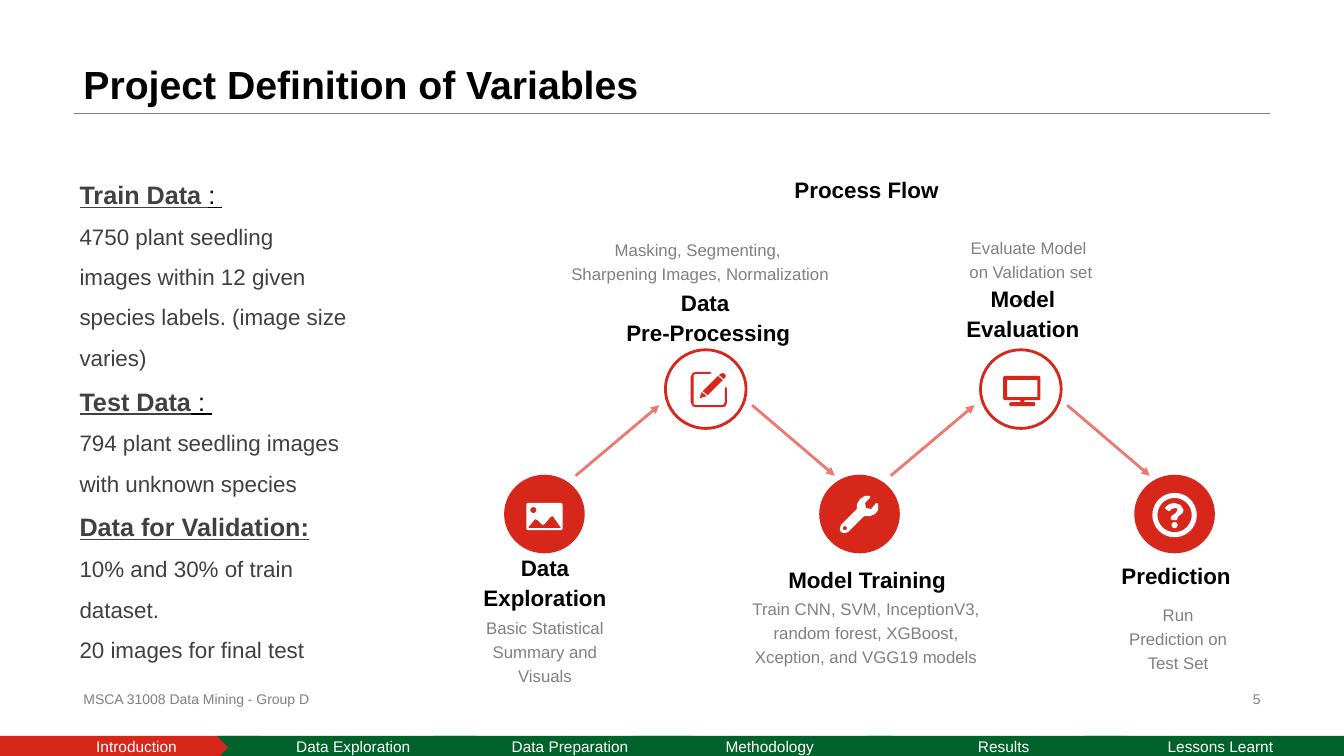
import math
import pptx
import pptx.util
import pptx.dml.color
import pptx.enum.shapes
import pptx.enum.text
import pptx.oxml
import pptx.oxml.ns

Inches = pptx.util.Inches
Kind = pptx.enum.shapes.MSO_SHAPE
Align = pptx.enum.text.PP_ALIGN
Anchor = pptx.enum.text.MSO_ANCHOR

HUES = {"red": "D7271B", "green": "01632B", "rose": "ED7870", "grey": "808080",
        "dark": "404040", "black": "000000", "white": "FFFFFF"}

HEAD = {"size": 18, "hue": "dark", "bold": True, "line": True}
COLON = {"size": 18, "hue": "black", "line": True}
BODY = {"size": 16, "hue": "dark"}
TITLE = {"size": 28, "hue": "black", "bold": True}
NAME = {"size": 16, "hue": "black", "bold": True}
NOTE = {"size": 12, "hue": "grey"}
FOOT = {"size": 10, "hue": "grey"}
TAB = {"size": 11, "hue": "white"}

FACTS = [
    [("Train Data ", HEAD), (": ", COLON)],
    [("4750 plant seedling images within 12 given species labels. (image size varies)", BODY)],
    [("Test Data", HEAD), (" : ", COLON)],
    [("794 plant seedling images with unknown species", BODY)],
    [("Data for Validation:", HEAD)],
    [("10% and 30% of train dataset.", BODY)],
    [("20 images for final test", BODY)],
]
TABS = [(0, "Introduction"), (2.15, "Data Exploration"), (4.3, "Data Preparation"),
        (6.28, "Methodology"), (8.6, "Results"), (10.75, "Lessons Learnt")]
NAMES = [
    ((4.5, 5.72, 1.81, 0.39), ["Data Exploration"]),
    ((5.89, 3.03, 2.27, 0.45), ["Data ", "Pre-Processing"]),
    ((7.54, 5.44, 2.12, 0.49), ["Model Training"]),
    ((9.27, 3.05, 1.75, 0.39), ["Model Evaluation"]),
    ((10.98, 5.5, 1.37, 0.39), ["Prediction"]),
]
NOTES = [
    ((4.69, 6.04, 1.43, 0.46), ["Basic Statistical Summary and Visuals"]),
    ((5.43, 2.29, 3.03, 0.48), ["Masking, Segmenting, ", "Sharpening Images, Normalization"]),
    ((7.13, 5.85, 2.92, 1.2), ["Train CNN, SVM, InceptionV3,", "random forest, XGBoost,",
                               "Xception, and VGG19 models"]),
    ((9.47, 2.27, 1.51, 0.47), ["Evaluate Model ", "on Validation set", "……"]),
    ((11.1, 5.91, 1.17, 0.46), ["Run Prediction on Test Set"]),
]


def oval(x, y, r):
    turns = [math.tau * k / 40 for k in range(40)]
    return [(x + r * math.cos(t), y + r * math.sin(t)) for t in turns]


def panel(left, top, right, base, r):
    spots = [(right - r, base - r), (left + r, base - r), (left + r, top + r), (right - r, top + r)]
    return [(x + r * math.cos(t), y + r * math.sin(t))
            for q, (x, y) in enumerate(spots)
            for t in [math.pi / 2 * (q + k / 6) for k in range(7)]]


PHOTO = [
    panel(5.22, 4.99, 5.58, 5.26, 0.02),
    [(5.48, 5.12), (5.46, 5.13), (5.4, 5.2), (5.38, 5.21), (5.33, 5.16), (5.31, 5.15),
     (5.3, 5.16), (5.24, 5.23), (5.25, 5.24), (5.56, 5.24), (5.56, 5.23), (5.49, 5.13)],
    oval(5.29, 5.06, 0.03),
]
PENCIL = [
    [(7.18, 3.76), (7.13, 3.72), (7.15, 3.71), (7.17, 3.7), (7.19, 3.71), (7.2, 3.73), (7.19, 3.75)],
    [(6.96, 3.89), (7.01, 3.93), (6.94, 3.95)],
    [(7.17, 3.77), (7.02, 3.92), (6.97, 3.88), (7.12, 3.73)],
    [(7.21, 3.85), (7.2, 3.84), (7.19, 3.85), (7.19, 3.99), (7.18, 4.01), (7.16, 4.02),
     (6.9, 4.02), (6.88, 4.01), (6.88, 3.74), (6.88, 3.72), (6.9, 3.71), (7.04, 3.71),
     (7.06, 3.7), (7.04, 3.69), (6.9, 3.69), (6.87, 3.7), (6.85, 3.74), (6.85, 3.99),
     (6.87, 4.03), (6.9, 4.04), (7.16, 4.04), (7.2, 4.03), (7.21, 3.99)],
]
SCREEN = [
    panel(9.95, 3.73, 10.32, 3.97, 0.02),
    panel(9.99, 3.77, 10.29, 3.94, 0),
    panel(10.12, 3.97, 10.16, 3.99, 0),
    panel(10.01, 3.99, 10.27, 4.03, 0.02),
]
WRENCH = [
    [(8.71, 5), (8.69, 4.99), (8.64, 5.05), (8.59, 5.04), (8.58, 4.99), (8.63, 4.94),
     (8.63, 4.92), (8.58, 4.92), (8.53, 4.95), (8.5, 5), (8.5, 5.05), (8.34, 5.21),
     (8.33, 5.25), (8.34, 5.28), (8.38, 5.29), (8.41, 5.28), (8.57, 5.12), (8.63, 5.12),
     (8.68, 5.1), (8.71, 5.06)],
    oval(8.38, 5.24, 0.02),
]
QUERY = [
    oval(11.65, 5.11, 0.22),
    oval(11.65, 5.11, 0.17),
    [(11.74, 5.06), (11.73, 5.09), (11.69, 5.12), (11.68, 5.14), (11.67, 5.16), (11.63, 5.16),
     (11.61, 5.15), (11.62, 5.12), (11.66, 5.09), (11.68, 5.06), (11.67, 5.04), (11.65, 5.04),
     (11.62, 5.05), (11.6, 5.07), (11.59, 5.07), (11.56, 5.05), (11.56, 5.03), (11.6, 5),
     (11.65, 4.99), (11.71, 5.01)],
    oval(11.65, 5.21, 0.03),
]
ICONS = [(PHOTO, "white"), (PENCIL, "red"), (SCREEN, "red"), (WRENCH, "white"), (QUERY, "white")]

deck = pptx.Presentation()
deck.slide_width, deck.slide_height = Inches(13.33), Inches(7.5)
slide = deck.slides.add_slide(deck.slide_layouts[6])
shapes = slide.shapes


def tint(hue):
    return pptx.dml.color.RGBColor.from_string(HUES[hue])


def paint(shape, fill=None, edge=None, width=2):
    shape.shadow.inherit = False
    if fill:
        shape.fill.solid()
        shape.fill.fore_color.rgb = tint(fill)
    else:
        shape.fill.background()
    if edge:
        shape.line.color.rgb = tint(edge)
        shape.line.width = pptx.util.Pt(width)
    else:
        shape.line.fill.background()


def write(box, paras, align=Align.LEFT, anchor=Anchor.TOP, gap=1.0, wrap=True, pad=None):
    frame = shapes.add_textbox(*map(Inches, box)).text_frame
    frame.word_wrap = wrap
    frame.vertical_anchor = anchor
    if pad:
        (frame.margin_left, frame.margin_top,
         frame.margin_right, frame.margin_bottom) = map(Inches, pad)
    for i, runs in enumerate(paras):
        para = frame.add_paragraph() if i else frame.paragraphs[0]
        para.alignment, para.line_spacing = align, gap
        for text, look in runs:
            run = para.add_run()
            run.text = text
            font = run.font
            font.name, font.size = "Arial", pptx.util.Pt(look["size"])
            font.bold = look.get("bold", False)
            font.underline = look.get("line", False)
            font.color.rgb = tint(look["hue"])


def rule(start, end, hue, width, arrow=False):
    line = shapes.add_connector(pptx.enum.shapes.MSO_CONNECTOR.STRAIGHT,
                                *map(Inches, start + end))
    line.line.color.rgb = tint(hue)
    line.line.width = pptx.util.Pt(width)
    if arrow:
        tip = pptx.oxml.parse_xml(f'<a:tailEnd {pptx.oxml.ns.nsdecls("a")} type="triangle"/>')
        line.line._get_or_add_ln().append(tip)
    line._element.spPr.append(
        pptx.oxml.parse_xml(f'<a:effectLst {pptx.oxml.ns.nsdecls("a")}/>'))


def draw(rings, hue):
    rings = [[(Inches(x), Inches(y)) for x, y in ring] for ring in rings]
    pen = shapes.build_freeform(*rings[0][0])
    for i, ring in enumerate(rings):
        if i:
            pen.move_to(*ring[0])
        pen.add_line_segments(ring[1:], close=True)
    paint(pen.convert_to_shape(), hue)


rule((0.73, 1.12), (12.6, 1.12), "grey", 0.25)
write((0.73, 0, 11.87, 1.12), [[("Project Definition of Variables", TITLE)]],
      anchor=Anchor.BOTTOM, gap=0.9)
write((0.73, 6.82, 4.53, 0.23), [[("MSCA 31008 Data Mining - Group D", FOOT)]],
      anchor=Anchor.MIDDLE)
write((9.42, 6.82, 3.18, 0.23), [[("5", FOOT)]], Align.RIGHT, Anchor.MIDDLE)
write((0.69, 1.58, 2.85, 5.05), FACTS, gap=1.5)

for i, (left, text) in enumerate(TABS):
    tab = shapes.add_shape(Kind.CHEVRON if i else Kind.PENTAGON,
                           *map(Inches, (left, 7.3, 2.69, 0.23)))
    paint(tab, "green" if i else "red")
    write((left + 0.11, 7.3, 2.46, 0.23), [[(text, TAB)]], Align.CENTER, Anchor.MIDDLE,
          0.9, pad=(0.05, 0.03, 0.02, 0.03))

write((3.83, 1.64, 9.53, 0.39), [[("Process Flow", NAME)]], Align.CENTER, gap=1.2)
STEP = 3.125
for i in range(5):
    low = i % 2 == 0
    left = 5 + STEP * (i // 2) + (0 if low else 1.6)
    disc = shapes.add_shape(Kind.OVAL, *map(Inches, (left, 4.71 if low else 3.47, 0.8, 0.78)))
    paint(disc, "red" if low else None, None if low else "red")
for i in range(2):
    left = 5 + STEP * i
    rule((left + 0.71, 4.72), (left + 1.54, 4.02), "rose", 2, True)
    rule((left + 2.46, 4.02), (left + 3.28, 4.72), "rose", 2, True)
for box, lines in NOTES:
    write(box, [[(text, NOTE)] for text in lines], Align.CENTER, gap=1.2, wrap=False)
for box, lines in NAMES:
    write(box, [[(text, NAME)] for text in lines], Align.CENTER, Anchor.BOTTOM, 1.1)
for rings, hue in ICONS:
    draw(rings, hue)

deck.save("out.pptx")
